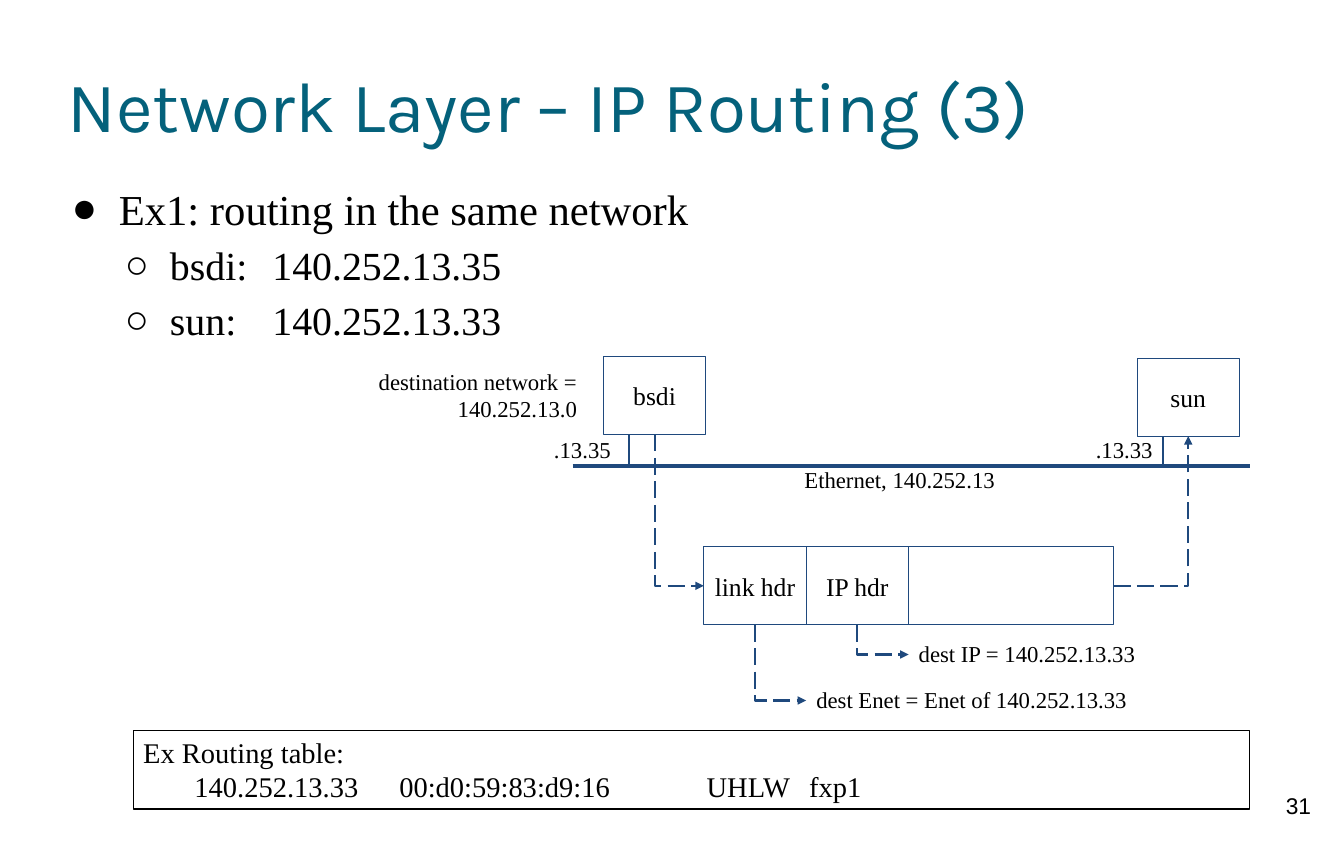
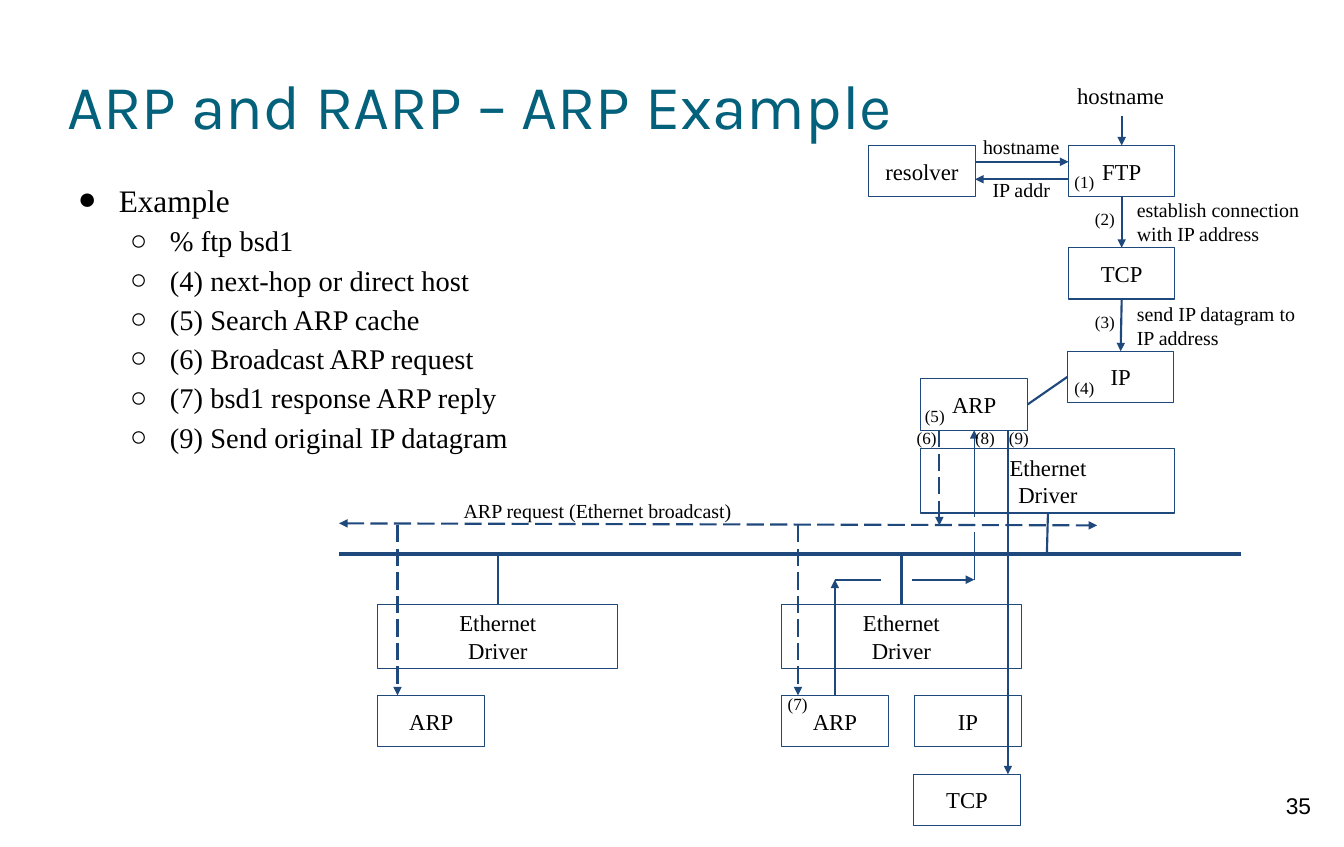
from lxml import etree
from pptx import Presentation
from pptx import util as u
from pptx.dml.color import RGBColor
from pptx.enum import dml, shapes, text
from pptx.oxml.ns import qn


class Theme:
    title_color = RGBColor(0x04, 0x61, 0x7B)
    line_color = RGBColor(0x1F, 0x49, 0x7D)
    ink = RGBColor(0, 0, 0)
    title_font, body_font, number_font = "Karla", "Times New Roman", "Arial"
    large, normal, small, tiny = 18, 16, 14, 12
    table_size = 20
    thin, medium, thick = 0.75, 1.5, 3


LEFT, CENTER, RIGHT = text.PP_ALIGN.LEFT, text.PP_ALIGN.CENTER, text.PP_ALIGN.RIGHT
TOP, MIDDLE = text.MSO_ANCHOR.TOP, text.MSO_ANCHOR.MIDDLE
boxes = {}


def add_text(slide, content, at, size, align=CENTER, anchor=MIDDLE, outline=None,
             font=Theme.body_font, inset=0.1):
    """Add a text box, or a rectangle when an outline colour is given."""
    frame_at = [u.Inches(value) for value in at]
    if outline is None:
        shape = slide.shapes.add_textbox(*frame_at)
    else:
        shape = slide.shapes.add_shape(shapes.MSO_SHAPE.RECTANGLE, *frame_at)
        shape.shadow.inherit = False
        shape.fill.background()
        shape.line.color.rgb = outline
        shape.line.width = u.Pt(Theme.thin)
    frame = shape.text_frame
    frame.word_wrap = True
    frame.vertical_anchor = anchor
    frame.margin_left = frame.margin_right = u.Inches(0.1)
    frame.margin_top = frame.margin_bottom = u.Inches(inset)
    for index, words in enumerate(content.split("\n") if content else []):
        paragraph = frame.add_paragraph() if index else frame.paragraphs[0]
        paragraph.alignment = align
        run = paragraph.add_run()
        run.text = words
        run.font.size = u.Pt(size)
        run.font.name = font
        run.font.color.rgb = Theme.ink
    return shape


def add_line(slide, start, end, width=Theme.medium, dashed=False, arrows="", bend=None):
    """Join two ends, each a point (x, y) or a box side (name, site).

    arrows holds "head" and/or "tail"; bend is "down" or "across", the first leg.
    """
    points = [(0, 0) if isinstance(point[0], str) else point for point in (start, end)]
    kind = shapes.MSO_CONNECTOR.ELBOW if bend else shapes.MSO_CONNECTOR.STRAIGHT
    connector = slide.shapes.add_connector(
        kind, *[u.Inches(value) for point in points for value in point])
    if isinstance(start[0], str):
        connector.begin_connect(boxes[start[0]], start[1])
    if isinstance(end[0], str):
        connector.end_connect(boxes[end[0]], end[1])
    properties = connector._element.spPr
    if bend:
        properties.find(qn("a:prstGeom")).set("prst", "bentConnector2")
    if bend == "down":
        # A quarter turn swaps the sides of the frame about its centre
        (x1, y1), (x2, y2) = points
        across, down = x2 - x1, y2 - y1
        connector.left = u.Inches((x1 + x2 - down) / 2)
        connector.top = u.Inches((y1 + y2 - across) / 2)
        connector.width, connector.height = u.Inches(down), u.Inches(across)
        frame = properties.find(qn("a:xfrm"))
        frame.set("rot", str(270 * 60000))
        frame.set("flipH", "1")
    connector.line.color.rgb = Theme.line_color
    connector.line.width = u.Pt(width)
    if dashed:
        connector.line.dash_style = dml.MSO_LINE.LONG_DASH
    for name in ("head", "tail"):
        if name in arrows:
            etree.SubElement(properties.find(qn("a:ln")), qn(f"a:{name}End"), type="triangle")
    etree.SubElement(properties, qn("a:effectLst"))


presentation = Presentation()
presentation.slide_width = u.Inches(13.12)
presentation.slide_height = u.Inches(8.27)

# Title, number and bullets of both slides: sizes and hanging indents per level
pages = [
    ("Network Layer – IP Routing (3)", 50, "31", (30, 28), (0.46, 0.44),
     ["Ex1: routing in the same network",
      "bsdi:\t140.252.13.35",
      "sun:\t140.252.13.33"]),
    ("ARP and RARP – ARP Example", 44, "35", (22, 20), (0.4, 0.39),
     ["Example",
      "% ftp bsd1",
      "(4) next-hop or direct host",
      "(5) Search ARP cache",
      "(6) Broadcast ARP request",
      "(7) bsd1 response ARP reply",
      "(9) Send original IP datagram"]),
]
for heading, heading_size, number, sizes, hangs, bullets in pages:
    slide = presentation.slides.add_slide(presentation.slide_layouts[5])
    title = slide.shapes.title
    title.left, title.top = u.Inches(0.66), u.Inches(0.33)
    title.width, title.height = u.Inches(11.81), u.Inches(1.38)
    body = slide.shapes.add_textbox(
        u.Inches(0.66), u.Inches(1.71), u.Inches(11.84), u.Inches(6.19))
    for frame in (title.text_frame, body.text_frame):
        frame.word_wrap = True
        frame.auto_size = text.MSO_AUTO_SIZE.NONE
        frame.margin_left = frame.margin_right = 0
        frame.margin_top = frame.margin_bottom = 0
    title.text_frame.vertical_anchor = MIDDLE
    paragraph = title.text_frame.paragraphs[0]
    paragraph.alignment = LEFT
    run = paragraph.add_run()
    run.text = heading
    run.font.size = u.Pt(heading_size)
    run.font.name = Theme.title_font
    run.font.color.rgb = Theme.title_color

    for index, words in enumerate(bullets):
        level = min(index, 1)
        paragraph = body.text_frame.add_paragraph() if index else body.text_frame.paragraphs[0]
        paragraph.level = level
        paragraph.line_spacing = 1.15
        settings = paragraph._p.get_or_add_pPr()
        settings.set("marL", str(u.Inches((0.5, 1)[level])))
        settings.set("indent", str(-u.Inches(hangs[level])))
        color = etree.SubElement(settings, qn("a:buClr"))
        etree.SubElement(color, qn("a:srgbClr"), val=str(Theme.ink))
        etree.SubElement(settings, qn("a:buFont"), typeface=Theme.body_font)
        etree.SubElement(settings, qn("a:buChar"), char="●○"[level])
        run = paragraph.add_run()
        run.text = words
        run.font.size = u.Pt(sizes[level])
        run.font.name = Theme.body_font
        run.font.color.rgb = Theme.ink
    add_text(slide, number, (12.28, 7.63, 0.79, 0.63), Theme.normal, anchor=TOP,
             font=Theme.number_font)

routing, arp = presentation.slides

# Routing: table entry, hosts and packet
add_text(routing, "Ex Routing table:\n\t140.252.13.33\t00:d0:59:83:d9:16\t\tUHLW\tfxp1",
         (1.3, 7.13, 10.9, 0.77), Theme.table_size, LEFT, TOP, Theme.ink, inset=0.05)
for label, left, top, width in [
        ("bsdi", 5.89, 3.48, 1), ("sun", 11.1, 3.5, 1),
        ("link hdr", 6.87, 5.34, 1), ("IP hdr", 7.87, 5.34, 1), ("", 8.87, 5.34, 2)]:
    add_text(routing, label, (left, top, width, 0.76), Theme.large, outline=Theme.line_color)

# Routing: cable, stubs and the path of the packet
add_line(routing, (5.59, 4.55), (12.2, 4.55), Theme.thick)
add_line(routing, (6.14, 4.55), (6.14, 4.24))
add_line(routing, (11.35, 4.55), (11.35, 4.26))
for start, end, bend in [
        ((6.39, 4.24), (6.87, 5.72), "down"), ((10.87, 5.72), (11.6, 4.26), "across"),
        ((8.37, 6.1), (8.87, 6.39), "down"), ((7.37, 6.1), (7.87, 6.84), "down")]:
    add_line(routing, start, end, dashed=True, arrows="tail", bend=bend)

# Routing: labels
for label, at, align in [
        ("destination network = 140.252.13.0", (3.55, 3.49, 2.18, 0.74), RIGHT),
        (".13.35", (5.27, 4.16, 0.79, 0.47), RIGHT),
        (".13.33", (10.56, 4.16, 0.79, 0.47), RIGHT),
        ("Ethernet, 140.252.13", (7.63, 4.45, 2.18, 0.47), RIGHT),
        ("dest IP = 140.252.13.33", (8.87, 6.15, 2.38, 0.47), LEFT),
        ("dest Enet = Enet of 140.252.13.33", (7.87, 6.6, 3.98, 0.47), LEFT)]:
    add_text(routing, label, at, Theme.normal, align, TOP)

# ARP: protocol boxes
for name, label, left, top in [
        ("resolver", "resolver", 8.48, 1.42), ("ftp", "FTP", 10.43, 1.42),
        ("tcp", "TCP", 10.43, 2.42), ("ip", "IP", 10.42, 3.43), ("arp", "ARP", 8.99, 3.7),
        ("left arp", "ARP", 3.69, 6.79), ("right arp", "ARP", 7.63, 6.79),
        ("right ip", "IP", 8.93, 6.79), ("right tcp", "TCP", 8.92, 7.56)]:
    boxes[name] = add_text(arp, label, (left, top, 1.04, 0.5), Theme.normal,
                           outline=Theme.line_color)
for name, left, top, width in [
        ("driver", 8.99, 4.38, 2.48), ("left driver", 3.69, 5.9, 2.34),
        ("right driver", 7.63, 5.9, 2.34)]:
    boxes[name] = add_text(arp, "Ethernet\nDriver", (left, top, width, 0.63), Theme.normal,
                           outline=Theme.line_color)

# ARP: cable and plain links
add_line(arp, (3.31, 5.41), (12.11, 5.41), Theme.thick)
for start, end in [
        (("left driver", 0), (4.86, 5.41)), (("right driver", 0), (8.8, 5.41)),
        (("driver", 2), (10.22, 5.41)), (("ip", 1), ("arp", 3)),
        ((8.15, 5.66), (8.6, 5.66))]:
    add_line(arp, start, end)
add_line(arp, (9.51, 5.66), (9.51, 5.19), Theme.thin)

# ARP: arrows
for start, end in [
        ((10.95, 1.13), ("ftp", 0)), (("ftp", 2), ("tcp", 0)), (("tcp", 2), ("ip", 0)),
        ((9.52, 1.58), (10.43, 1.58)), ((10.43, 1.75), (9.52, 1.75)),
        (("right arp", 0), (8.15, 5.66)), ((8.9, 5.66), (9.51, 5.66)),
        ((9.84, 4.2), (9.84, 7.56))]:
    add_line(arp, start, end, arrows="tail")
add_line(arp, (9.51, 5.05), ("arp", 2), Theme.thin, arrows="tail")

# ARP: broadcast
add_line(arp, (3.31, 5.11), (10.71, 5.13), dashed=True, arrows="head tail")
for x, top, bottom in [(3.88, 5.13, 6.79), (7.79, 5.13, 6.79), (9.17, 4.2, 5.13)]:
    add_line(arp, (x, top), (x, bottom), dashed=True, arrows="tail")

# ARP: labels and step numbers
add_text(arp, "hostname", (10.39, 0.75, 1.1, 0.37), Theme.normal)
for label, left, top, width, align, anchor in [
        ("hostname", 9.42, 1.21, 1.1, CENTER, TOP),
        ("IP addr", 9.42, 1.63, 1.1, CENTER, TOP),
        ("ARP request (Ethernet broadcast)", 4.1, 4.84, 3.47, CENTER, MIDDLE),
        ("establish connection with IP address", 11, 2.02, 1.94, LEFT, MIDDLE),
        ("send IP datagram to IP address", 11, 3.03, 1.94, LEFT, MIDDLE)]:
    add_text(arp, label, (left, top, width, 0.29), Theme.small, align, anchor)
steps = [(10.39, 1.63), (10.59, 1.99), (10.59, 3), (10.39, 3.64), (8.93, 3.91),
         (8.85, 4.13), (7.59, 6.73), (9.42, 4.13), (9.75, 4.13)]
for step, (left, top) in enumerate(steps, 1):
    add_text(arp, f"({step})", (left, top, 0.41, 0.29), Theme.tiny, LEFT)

presentation.save("out.pptx")
